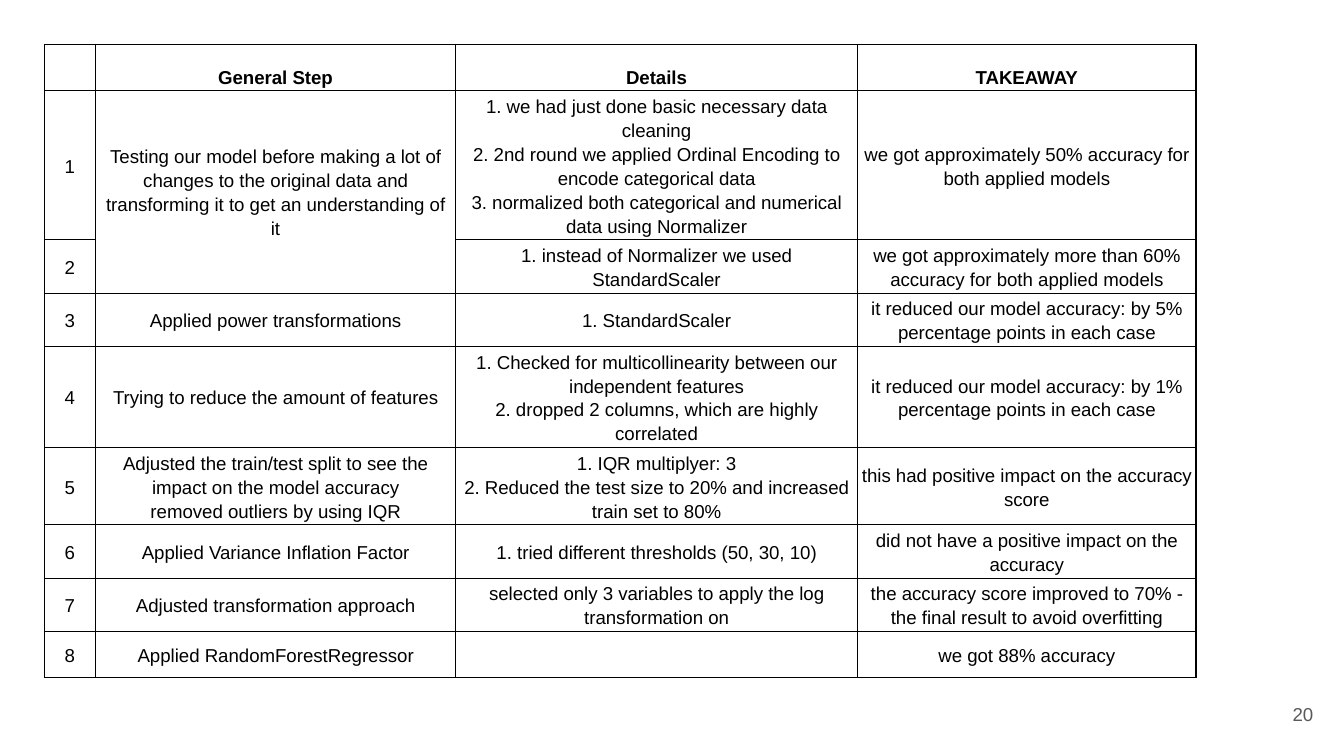
from lxml import etree
from pptx import Presentation
from pptx.dml.color import RGBColor
from pptx.enum import text
from pptx.oxml.ns import qn
from pptx.util import Inches, Pt

COLORS = {"ink": "000000", "paper": "FFFFFF", "number": "595959"}
FONT = "Arial"
COL_WIDTHS = [0.38, 2.68, 2.99, 2.52]
ROW_HEIGHTS = [0.26, 1.1, 0.39, 0.39, 0.75, 0.57, 0.39, 0.39, 0.26]
HEADER = ["", "General Step", "Details", "TAKEAWAY"]
STEPS = [
    ["Testing our model before making a lot of changes to the original data "
     "and transforming it to get an understanding of it",
     "1. we had just done basic necessary data cleaning\n"
     "2. 2nd round we applied Ordinal Encoding to encode categorical data\n"
     "3. normalized both categorical and numerical data using Normalizer",
     "we got approximately 50% accuracy for both applied models"],
    ["",
     "1. instead of Normalizer we used StandardScaler",
     "we got approximately more than 60% accuracy for both applied models"],
    ["Applied power transformations",
     "1. StandardScaler",
     "it reduced our model accuracy: by 5% percentage points in each case"],
    ["Trying to reduce the amount of features",
     "1. Checked for multicollinearity between our independent features\n"
     "2. dropped 2 columns, which are highly correlated",
     "it reduced our model accuracy: by 1% percentage points in each case"],
    ["Adjusted the train/test split to see the impact on the model accuracy\n"
     "removed outliers by using IQR",
     "1. IQR multiplyer: 3\n"
     "2. Reduced the test size to 20% and increased train set to 80%",
     "this had positive impact on the accuracy score"],
    ["Applied Variance Inflation Factor",
     "1. tried different thresholds (50, 30, 10)",
     "did not have a positive impact on the accuracy"],
    ["Adjusted transformation approach",
     "selected only 3 variables to apply the log transformation on",
     "the accuracy score improved to 70% - the final result to avoid overfitting"],
    ["Applied RandomForestRegressor", "", "we got 88% accuracy"],
]


def write(tf, content, size=10, color="ink", bold=False,
          align=text.PP_ALIGN.CENTER, spacing=None):
    """Fill a text frame, one paragraph per line of content."""
    for i, line in enumerate(content.split("\n")):
        p = tf.add_paragraph() if i else tf.paragraphs[0]
        p.alignment = align
        p.line_spacing = spacing
        r = p.add_run()
        r.text = line
        r.font.name = FONT
        r.font.size = Pt(size)
        r.font.bold = bold
        r.font.color.rgb = RGBColor.from_string(COLORS[color])


def set_borders(cell, color="ink", width=0.75):
    tcPr = cell._tc.get_or_add_tcPr()
    for i, side in enumerate(("lnL", "lnR", "lnT", "lnB")):
        ln = etree.Element(qn(f"a:{side}"), w=str(Pt(width)))
        fill = etree.SubElement(ln, qn("a:solidFill"))
        etree.SubElement(fill, qn("a:srgbClr"), val=COLORS[color])
        tcPr.insert(i, ln)


class Deck:
    def __init__(self, width, height):
        self.prs = Presentation()
        self.prs.slide_width, self.prs.slide_height = Inches(width), Inches(height)
        self.s = self.prs.slides.add_slide(self.prs.slide_layouts[6])

    def table(self, left, top, rows, widths, heights):
        tbl = self.s.shapes.add_table(
            len(rows), len(widths), Inches(left), Inches(top),
            Inches(sum(widths)), Inches(sum(heights))).table
        tbl.horz_banding = False
        for col, width in zip(tbl.columns, widths):
            col.width = Inches(width)
        for row, height in zip(tbl.rows, heights):
            row.height = Inches(height)
        for i, row in enumerate(rows):
            for j, content in enumerate(row):
                self.cell(tbl.cell(i, j), content, header=i == 0)
        return tbl

    def cell(self, cell, content, header):
        cell.fill.solid()
        cell.fill.fore_color.rgb = RGBColor.from_string(COLORS["paper"])
        cell.margin_left = cell.margin_right = Inches(0.03)
        cell.margin_top = cell.margin_bottom = Inches(0.02)
        cell.vertical_anchor = (text.MSO_ANCHOR.BOTTOM if header
                                else text.MSO_ANCHOR.MIDDLE)
        if content:
            write(cell.text_frame, content, bold=header, spacing=1.15)
        set_borders(cell)

    def page_number(self, number, left, top, width, height):
        tf = self.s.shapes.add_textbox(
            Inches(left), Inches(top), Inches(width), Inches(height)).text_frame
        tf.word_wrap = True
        tf.vertical_anchor = text.MSO_ANCHOR.MIDDLE
        tf.margin_left = tf.margin_right = Inches(0.1)
        tf.margin_top = tf.margin_bottom = Inches(0.1)
        write(tf, str(number), color="number", align=text.PP_ALIGN.RIGHT)


def main():
    deck = Deck(10, 10 * 9 / 16)
    rows = [HEADER] + [[str(n), *step] for n, step in enumerate(STEPS, 1)]
    tbl = deck.table(0.33, 0.33, rows, COL_WIDTHS, ROW_HEIGHTS)
    tbl.cell(1, 1).merge(tbl.cell(2, 1))
    deck.page_number(20, 9.27, 5.1, 0.6, 0.43)
    deck.prs.save("out.pptx")


if __name__ == "__main__":
    main()
